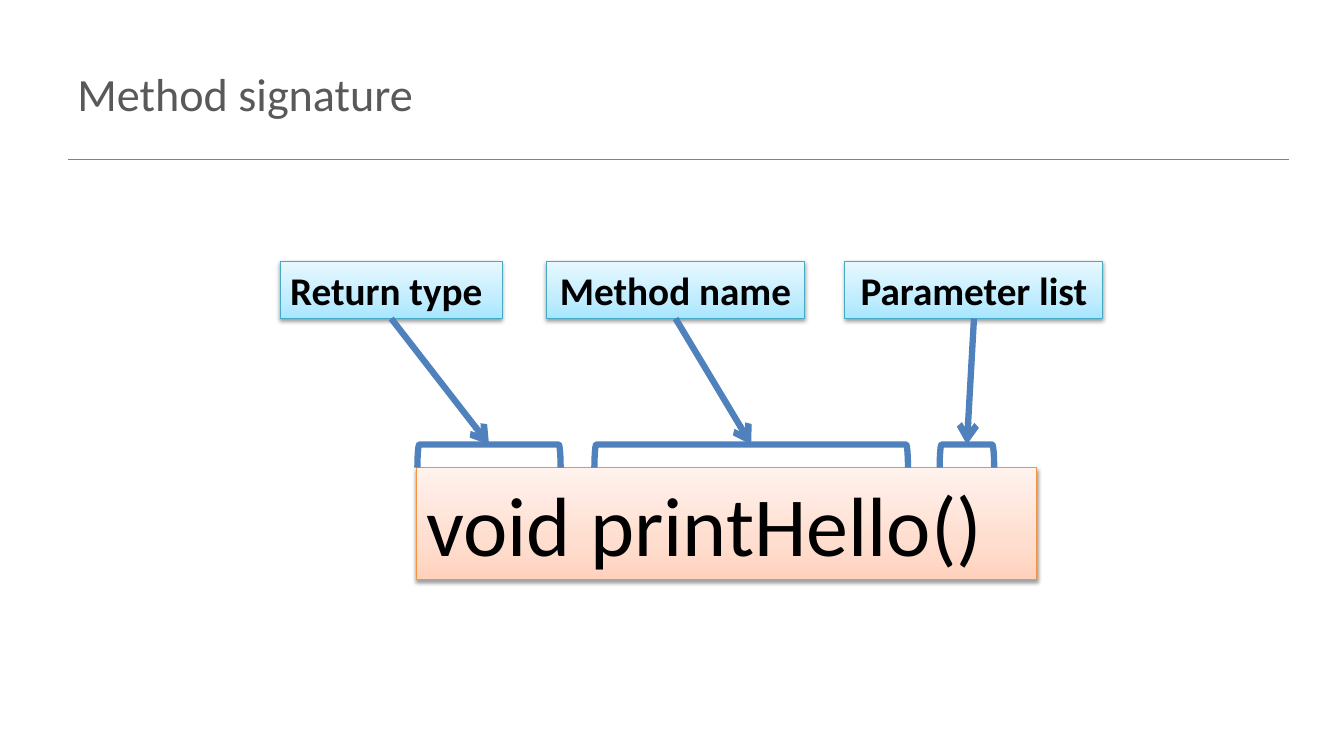
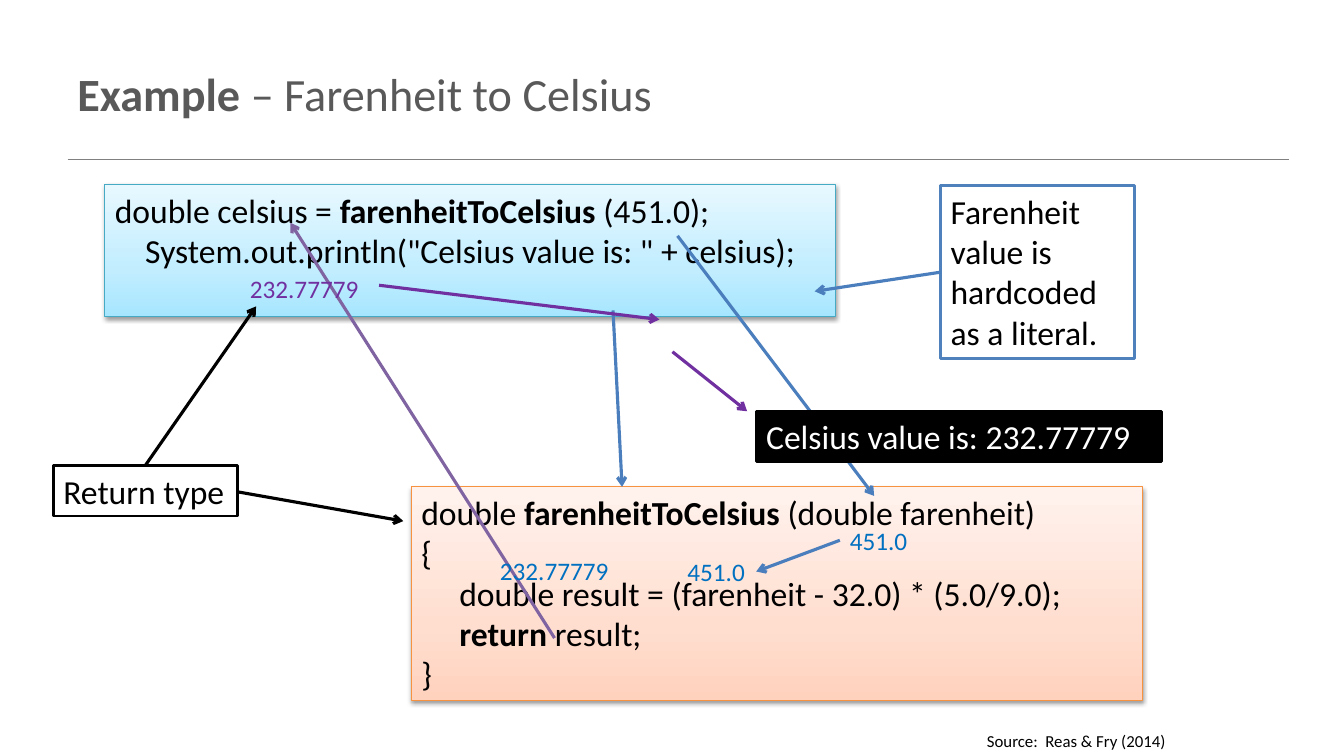
from lxml.etree import SubElement
from pptx import Presentation
from pptx.dml.color import RGBColor
from pptx.enum.shapes import MSO_CONNECTOR, MSO_SHAPE
from pptx.enum.text import MSO_ANCHOR, PP_ALIGN
from pptx.oxml.ns import qn
from pptx.util import Inches, Pt

COLORS = {
    "black": "000000",
    "white": "FFFFFF",
    "title": "595959",
    "rule": "808080",
    "blue": "4F81BD",
    "arrow": "4B7EBC",
    "value": "0070C0",
    "violet": "7030A0",
    "mauve": "8064A2",
    "cyan edge": "46AAC5",
    "orange edge": "F69240",
}
GRADIENTS = {
    "cyan": ("A7E6FF", "C1EDFF", "E7F8FF"),
    "orange": ("FFD2BD", "FFDED0", "FFF2ED"),
}
GRADIENT_STOPS = (0, 35, 100)


def rgb(name):
    return RGBColor.from_string(COLORS[name])


def write_text(shape, text, size=24, color="black", bold=False,
               align=PP_ALIGN.LEFT, anchor=MSO_ANCHOR.TOP, wrap=True):
    frame = shape.text_frame
    frame.word_wrap = wrap
    frame.vertical_anchor = anchor
    for index, line in enumerate(text.split("\n")):
        paragraph = frame.paragraphs[0] if index == 0 else frame.add_paragraph()
        paragraph.alignment = align
        for part, words in enumerate(line.split("**")):
            if not words:
                continue
            run = paragraph.add_run()
            run.text = words
            run.font.name = "Calibri"
            run.font.size = Pt(size)
            run.font.bold = bold or part % 2 == 1
            run.font.color.rgb = rgb(color)


class Deck:
    def __init__(self):
        self.presentation = Presentation()
        self.presentation.slide_width = Inches(13.33)
        self.presentation.slide_height = Inches(7.5)
        self.slide = None

    def new_slide(self, title):
        self.slide = self.presentation.slides.add_slide(
            self.presentation.slide_layouts[6])
        self.line((0.67, 1.58), (12.78, 1.58), "rule", 1)
        self.text((0.67, 0.3, 12, 1.25), title, size=33, color="title",
                  anchor=MSO_ANCHOR.MIDDLE)

    def text(self, box, text, **style):
        label = self.slide.shapes.add_textbox(*map(Inches, box))
        write_text(label, text, **style)

    def shape(self, preset, box, edge, width):
        shape = self.slide.shapes.add_shape(preset, *map(Inches, box))
        shape.shadow.inherit = False
        shape.line.color.rgb = rgb(edge)
        shape.line.width = Pt(width)
        return shape

    def box(self, box, text, fill="white", edge="black", **style):
        panel = self.shape(MSO_SHAPE.RECTANGLE, box, edge, 2)
        panel.fill.solid()
        panel.fill.fore_color.rgb = rgb(fill)
        write_text(panel, text, **style)

    def shaded_box(self, box, text, tone, **style):
        panel = self.shape(MSO_SHAPE.RECTANGLE, box, f"{tone} edge", 0.75)
        panel.fill.gradient()
        panel.fill.gradient_angle = 90
        properties = panel._element.spPr
        stops = properties.find(qn("a:gradFill")).find(qn("a:gsLst"))
        for stop in list(stops):
            stops.remove(stop)
        for position, color in zip(GRADIENT_STOPS, GRADIENTS[tone]):
            stop = SubElement(stops, qn("a:gs"), pos=str(position * 1000))
            SubElement(stop, qn("a:srgbClr"), val=color)
        shadow = SubElement(properties.find(qn("a:effectLst")), qn("a:outerShdw"),
                            blurRad=str(Pt(3.1)), dist=str(Pt(1.6)),
                            dir="5400000", rotWithShape="0")
        shade = SubElement(shadow, qn("a:srgbClr"), val=COLORS["black"])
        SubElement(shade, qn("a:alpha"), val="38000")
        write_text(panel, text, **style)

    def bracket(self, center, top, span, depth=0.23):
        box = (center - depth / 2, top + depth / 2 - span / 2, depth, span)
        bracket = self.shape(MSO_SHAPE.LEFT_BRACKET, box, "blue", 4.5)
        bracket.fill.background()
        bracket.rotation = 90

    def line(self, start, end, color, width):
        line = self.slide.shapes.add_connector(
            MSO_CONNECTOR.STRAIGHT, *map(Inches, (*start, *end)))
        line.line.color.rgb = rgb(color)
        line.line.width = Pt(width)
        SubElement(line._element.spPr, qn("a:effectLst"))
        return line

    def arrow(self, start, end, color="arrow", width=2.25):
        arrow = self.line(start, end, color, width)
        SubElement(arrow._element.spPr.find(qn("a:ln")), qn("a:tailEnd"),
                   type="arrow")


def add_signature_slide(deck):
    deck.new_slide("Method signature")
    deck.shaded_box((4.13, 4.64, 6.15, 1.11), "void printHello()", "orange", size=60)
    label_top, label_height, bracket_top = 2.59, 0.57, 4.41
    signature_parts = (
        ("Return type", 2.78, 2.2, PP_ALIGN.LEFT, 4.85, 1.42),
        ("Method name", 5.42, 2.56, PP_ALIGN.CENTER, 7.45, 3.11),
        ("Parameter list", 8.38, 2.56, PP_ALIGN.CENTER, 9.59, 0.54),
    )
    for name, left, width, align, target, span in signature_parts:
        deck.shaded_box((left, label_top, width, label_height), name, "cyan",
                        size=28, bold=True, align=align)
        deck.bracket(target, bracket_top, span)
        deck.arrow((left + width / 2, label_top + label_height),
                   (target, bracket_top), "blue", 4.5)


def add_example_slide(deck):
    deck.new_slide("**Example **– Farenheit to Celsius")
    call_code = ('double celsius = **farenheitToCelsius** (451.0);\n'
                 '    System.out.println("Celsius value is: " + celsius);')
    method_code = ("double **farenheitToCelsius **(double farenheit)\n"
                   "{\n"
                   "     double result = (farenheit - 32.0) * (5.0/9.0);\n"
                   "     **return** result;\n"
                   "}")
    deck.shaded_box((1.04, 1.83, 7.25, 1.31), call_code, "cyan")
    deck.shaded_box((4.08, 4.83, 7.25, 2.12), method_code, "orange")
    deck.arrow((6.72, 2.34), (8.67, 4.92))
    deck.box((7.5, 4.08, 4.02, 0.5), "Celsius value is: 232.77779",
             fill="black", color="white")
    deck.box((9.33, 1.84, 1.92, 1.72),
             "Farenheit value is hardcoded as a literal.", edge="blue")
    deck.box((0.53, 4.62, 1.83, 0.5), "Return type")
    deck.text((5.58, 7.2, 6.08, 0.3), "Source:  Reas & Fry (2014)",
              size=12, align=PP_ALIGN.RIGHT)

    flows = (
        ((9.33, 2.7), (8.08, 2.89), "arrow"),
        ((6.08, 3.08), (6.17, 4.83), "arrow"),
        ((2.36, 4.88), (4, 5.17), "black"),
        ((5.5, 6.33), (2.88, 2.21), "mauve"),
        ((3.76, 2.83), (6.54, 3.17), "violet"),
        ((6.67, 3.49), (7.41, 4.08), "violet"),
        ((1.44, 4.62), (2.54, 3.04), "black"),
        ((8.33, 5.36), (7.5, 5.67), "arrow"),
    )
    for start, end, color in flows:
        deck.arrow(start, end, color)

    passed_values = (
        ("451.0", 6.72, 5.47, 0.78, "value"),
        ("451.0", 8.33, 5.16, 0.78, "value"),
        ("232.77779", 4.86, 5.46, 1.29, "value"),
        ("232.77779", 2.38, 2.66, 1.29, "violet"),
    )
    for value, left, top, width, color in passed_values:
        deck.text((left, top, width, 0.4), value, size=18, color=color, wrap=False)


def main():
    deck = Deck()
    add_signature_slide(deck)
    add_example_slide(deck)
    deck.presentation.save("out.pptx")


if __name__ == "__main__":
    main()
